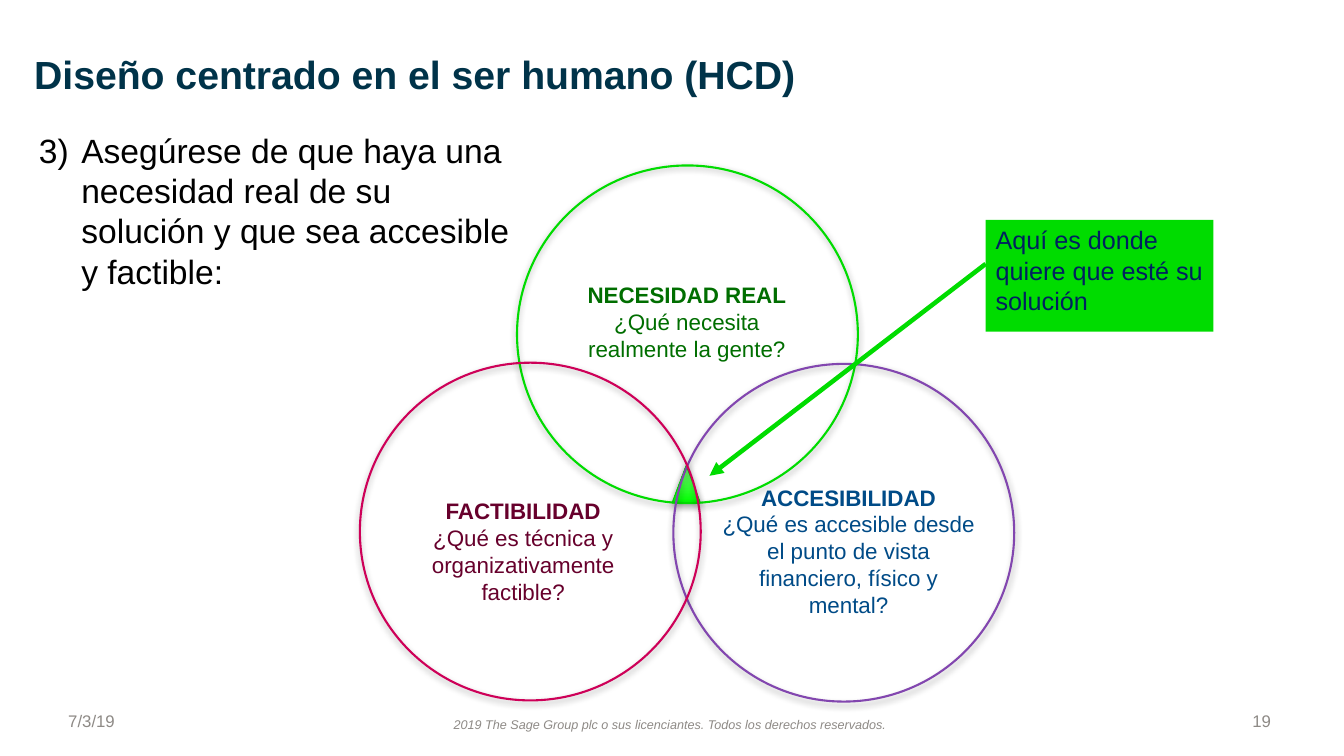
from dataclasses import dataclass

from lxml import etree
from pptx import Presentation
from pptx.dml.color import RGBColor
from pptx.enum.shapes import MSO_CONNECTOR, MSO_SHAPE
from pptx.enum.text import MSO_ANCHOR as Anchor, MSO_AUTO_SIZE, PP_ALIGN as Align
from pptx.oxml import parse_xml
from pptx.oxml.ns import nsdecls, qn
from pptx.util import Cm, Pt

GREEN, GRAY = "00DC00", "8E8A86"
CIRCLE_W, CIRCLE_H = 8.59, 8.51


@dataclass
class Box:
    left: float
    top: float
    width: float
    height: float

    def lengths(self) -> tuple:
        return Cm(self.left), Cm(self.top), Cm(self.width), Cm(self.height)


@dataclass
class Criterion:
    heading: str
    question: str
    text_color: str
    line_color: str
    left: float
    top: float
    label: Box


@dataclass
class Note:
    text: str
    box: Box
    size: int
    color: str
    align: Align = Align.LEFT
    anchor: Anchor = Anchor.TOP
    italic: bool = False


CRITERIA = [
    Criterion("NECESIDAD REAL", "¿Qué necesita realmente la gente?",
              "006E00", GREEN, 13.03, 4.17, Box(14.48, 6.2, 5.66, 3.81)),
    Criterion("ACCESIBILIDAD",
              "¿Qué es accesible desde el punto de vista financiero, físico y mental?",
              "004B87", "8246AF", 16.97, 9.17, Box(17.93, 11.99, 6.91, 3.78)),
    Criterion("FACTIBILIDAD", "¿Qué es técnica y organizativamente factible?",
              "67002C", "CE0058", 9.07, 9.14, Box(9.96, 11.99, 6.45, 3.78)),
]

FOOTERS = [
    Note("2019 The Sage Group plc o sus licenciantes. Todos los derechos reservados.",
         Box(10.24, 17.93, 13.28, 0.64), 9, GRAY, Align.CENTER, italic=True),
    Note("7/3/19", Box(1.47, 17.65, 7.62, 1.02), 12, GRAY, anchor=Anchor.MIDDLE),
    Note("19", Box(24.66, 17.65, 7.62, 1.02), 12, GRAY, Align.RIGHT, Anchor.MIDDLE),
]

STEP = Note("Asegúrese de que haya una necesidad real de su solución y que sea "
            "accesible y factible:", Box(0.53, 3.02, 12.83, 1.07), 24, "000000")


def rgb(color: str) -> RGBColor:
    return RGBColor.from_string(color)


def set_font(p, size: int, color: str, bold=False, italic=False) -> None:
    font = p.font
    font.name, font.size, font.bold, font.italic = "Arial", Pt(size), bold, italic
    font.color.rgb = rgb(color)


def add_text_frame(s, box: Box, anchor: Anchor):
    tf = s.shapes.add_textbox(*box.lengths()).text_frame
    tf.word_wrap, tf.vertical_anchor = True, anchor
    return tf


def add_note(s, note: Note):
    tf = add_text_frame(s, note.box, note.anchor)
    p = tf.paragraphs[0]
    p.text, p.alignment = note.text, note.align
    set_font(p, note.size, note.color, italic=note.italic)
    return tf


def add_step(s) -> None:
    tf = add_note(s, STEP)
    tf.margin_top = tf.margin_bottom = Cm(0.25)
    pPr = tf.paragraphs[0]._p.get_or_add_pPr()
    pPr.set("marL", str(Cm(1.27)))
    pPr.set("indent", str(Cm(-1.07)))
    number = etree.Element(qn("a:buAutoNum"), type="arabicParenR", startAt="3")
    pPr.insert(0, number)


def add_shape(s, kind: MSO_SHAPE, box: Box, line_color: str, line_width: float):
    sp = s.shapes.add_shape(kind, *box.lengths())
    sp.shadow.inherit = False
    sp.line.color.rgb = rgb(line_color)
    sp.line.width = Pt(line_width)
    return sp


def add_soft_shadow(sp) -> None:
    sp._element.spPr.find(qn("a:effectLst")).append(parse_xml(
        f'<a:outerShdw {nsdecls("a")} blurRad="{Pt(5)}" dist="{Pt(1.8)}" '
        'dir="5400000" rotWithShape="0"><a:srgbClr val="000000">'
        '<a:alpha val="35000"/></a:srgbClr></a:outerShdw>'))


def add_overlap(s) -> None:
    """Mark the area shared by the three circles."""
    sp = add_shape(s, MSO_SHAPE.ISOSCELES_TRIANGLE, Box(16.94, 11.73, 0.71, 0.94),
                   GREEN, 0.75)
    sp.fill.gradient()
    sp.fill.gradient_angle = 90
    for stop, color in zip(sp.fill.gradient_stops, ("00FD00", "7CFF7C")):
        stop.color.rgb = rgb(color)
    add_soft_shadow(sp)


def add_criterion(s, item: Criterion) -> None:
    circle = add_shape(s, MSO_SHAPE.OVAL, Box(item.left, item.top, CIRCLE_W, CIRCLE_H),
                       item.line_color, 1.5)
    circle.fill.background()
    add_soft_shadow(circle)
    tf = add_text_frame(s, item.label, Anchor.MIDDLE)
    tf.text = f"{item.heading}\n{item.question}"
    for p, bold in zip(tf.paragraphs, (True, False)):
        p.alignment = Align.CENTER
        set_font(p, 16, item.text_color, bold=bold)


def add_arrow(s) -> None:
    arrow = s.shapes.add_connector(MSO_CONNECTOR.STRAIGHT, Cm(24.84), Cm(6.65),
                                   Cm(17.88), Cm(11.99))
    arrow.line.color.rgb = rgb(GREEN)
    arrow.line.width = Pt(3.25)
    etree.SubElement(arrow.line._get_or_add_ln(), qn("a:tailEnd"), type="triangle")
    etree.SubElement(arrow._element.spPr, qn("a:effectLst"))


def add_callout(s) -> None:
    sp = add_shape(s, MSO_SHAPE.RECTANGLE, Box(24.84, 5.54, 5.74, 2.82), GREEN, 0.75)
    sp.fill.solid()
    sp.fill.fore_color.rgb = rgb(GREEN)
    sp.line.fill.background()
    tf = sp.text_frame
    tf.word_wrap, tf.vertical_anchor = True, Anchor.TOP
    p = tf.paragraphs[0]
    p.text, p.alignment = "Aquí es donde quiere que esté su solución", Align.LEFT
    set_font(p, 18, "002060")


def add_title(s) -> None:
    title = s.shapes.title
    title.left, title.top, title.width, title.height = Box(0.86, 1.27, 21.49, 1.65).lengths()
    tf = title.text_frame
    tf.margin_left = tf.margin_top = tf.margin_right = tf.margin_bottom = 0
    tf.word_wrap, tf.vertical_anchor = True, Anchor.TOP
    tf.auto_size = MSO_AUTO_SIZE.NONE
    p = tf.paragraphs[0]
    p.text, p.alignment = "Diseño centrado en el ser humano (HCD)", Align.LEFT
    set_font(p, 28, "003349", bold=True)


def main() -> None:
    prs = Presentation()
    prs.slide_width, prs.slide_height = Cm(33.87), Cm(19.05)
    s = prs.slides.add_slide(prs.slide_layouts[5])
    add_title(s)
    for footer in FOOTERS:
        add_note(s, footer)
    add_step(s)
    add_overlap(s)
    for item in CRITERIA:
        add_criterion(s, item)
    add_arrow(s)
    add_callout(s)
    prs.save("out.pptx")


if __name__ == "__main__":
    main()
